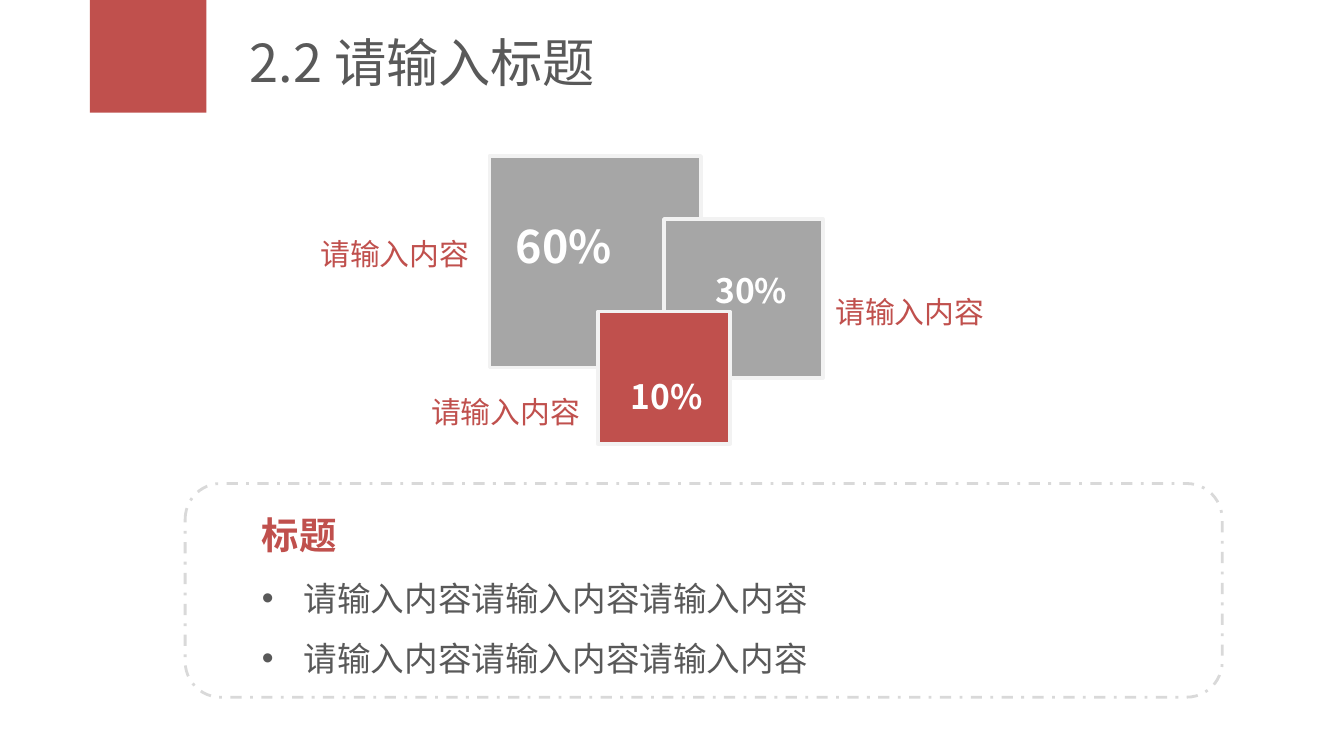
import pptx
import pptx.util
import pptx.dml.color
import pptx.enum.dml
import pptx.enum.shapes
import pptx.enum.text
import pptx.oxml.ns
import lxml.etree
from pptx.util import Cm

HUES = {"red": "C0504D", "gray": "A6A6A6", "edge": "F2F2F2",
        "dash": "D9D9D9", "dark": "595959", "white": "FFFFFF"}
FACE = "Noto Sans CJK SC"
KIND = pptx.enum.shapes.MSO_SHAPE
SIDE = pptx.enum.text.PP_ALIGN


def hue(name):
    """Return a named colour."""
    return pptx.dml.color.RGBColor.from_string(HUES[name])


def apply(target, **values):
    """Set attributes from a dict of format values."""
    for name, value in values.items():
        setattr(target, name, value)


class Deck:
    """Holds the style and the current slide."""

    def __init__(self, wide, high):
        """Start a deck with one title-only slide."""
        self.file = pptx.Presentation()
        apply(self.file, slide_width=Cm(wide), slide_height=Cm(high))
        self.slide = self.file.slides.add_slide(self.file.slide_layouts[5])

    def words(self, para, text, size, color, bold=False, **form):
        """Put one styled run into a paragraph."""
        apply(para, **form)
        run = para.add_run()
        run.text = text
        apply(run.font, name=FACE, size=pptx.util.Pt(size), bold=bold)
        run.font.color.rgb = hue(color)
        east = lxml.etree.SubElement(run._r.get_or_add_rPr(),
                                     pptx.oxml.ns.qn("a:ea"))
        east.set("typeface", FACE)

    def title(self, box, text):
        """Move and format the title."""
        head = self.slide.shapes.title
        apply(head, **dict(zip(("left", "top", "width", "height"),
                               map(Cm, box))))
        frame = head.text_frame
        apply(frame, vertical_anchor=pptx.enum.text.MSO_ANCHOR.MIDDLE,
              auto_size=pptx.enum.text.MSO_AUTO_SIZE.NONE)
        self.words(frame.paragraphs[0], text, 28, "dark",
                   alignment=SIDE.LEFT)

    def shape(self, kind, box, fill=None, line=None, width=2, dash=None):
        """Draw a preset shape."""
        form = self.slide.shapes.add_shape(kind, *map(Cm, box))
        form.shadow.inherit = False
        if fill:
            form.fill.solid()
            form.fill.fore_color.rgb = hue(fill)
        else:
            form.fill.background()
        if line:
            form.line.color.rgb = hue(line)
            apply(form.line, width=pptx.util.Pt(width), dash_style=dash)
        else:
            form.line.fill.background()

    def text(self, box):
        """Add a wrapping text box and return its frame."""
        frame = self.slide.shapes.add_textbox(*map(Cm, box)).text_frame
        apply(frame, word_wrap=True,
              auto_size=pptx.enum.text.MSO_AUTO_SIZE.SHAPE_TO_FIT_TEXT)
        return frame

    def label(self, box, text, size, color, **form):
        """Add a text box with one line."""
        self.words(self.text(box).paragraphs[0], text, size, color, **form)

    def bullet(self, para, text):
        """Fill a bulleted line."""
        self.words(para, text, 18, "dark", line_spacing=1.5)
        props = para._p.get_or_add_pPr()
        props.set("marL", str(Cm(0.79)))
        props.set("indent", str(-Cm(0.79)))
        for tag, key, value in (("a:buFont", "typeface", "Arial"),
                                ("a:buChar", "char", "•")):
            mark = lxml.etree.SubElement(props, pptx.oxml.ns.qn(tag))
            mark.set(key, value)


def main():
    """Build the slide."""
    deck = Deck(25.4, 14.29)
    deck.shape(KIND.RECTANGLE, (1.7, 0, 2.2, 2.13), "red")
    deck.title((4.47, 0.36, 20.04, 1.6), "2.2 请输入标题")

    for left, top, side, fill in ((9.25, 2.95, 4, "gray"),
                                  (12.55, 4.14, 3, "gray"),
                                  (11.3, 5.89, 2.5, "red")):
        deck.shape(KIND.RECTANGLE, (left, top, side, side), fill, "edge")

    for left, top, high, share, size, side in (
            (9.5, 4.01, 1.27, "60%", 24, SIDE.LEFT),
            (11.1, 6.98, 1.02, "10%", 18, SIDE.CENTER),
            (12.7, 4.98, 1.02, "30%", 18, SIDE.CENTER)):
        deck.label((left, top, 3, high), share, size, "white",
                   bold=True, alignment=side)

    for left, top, wide, side in ((5.31, 3.99, 3.81, SIDE.RIGHT),
                                  (7.9, 6.98, 3.45, SIDE.LEFT),
                                  (15.54, 5.08, 4.24, SIDE.LEFT)):
        deck.label((left, top, wide, 1.17), "请输入内容", 16, "red",
                   alignment=side, line_spacing=1.5)

    body = deck.text((4.7, 9.14, 17.4, 3.84))
    deck.words(body.paragraphs[0], "标题", 20, "red", bold=True,
               line_spacing=1.5)
    for _ in range(2):
        deck.bullet(body.add_paragraph(), "请输入内容" * 3)
    deck.shape(KIND.ROUNDED_RECTANGLE, (3.5, 9.14, 19.6, 4.04),
               line="dash", width=1.5,
               dash=pptx.enum.dml.MSO_LINE.DASH_DOT)
    deck.file.save("out.pptx")


main()
